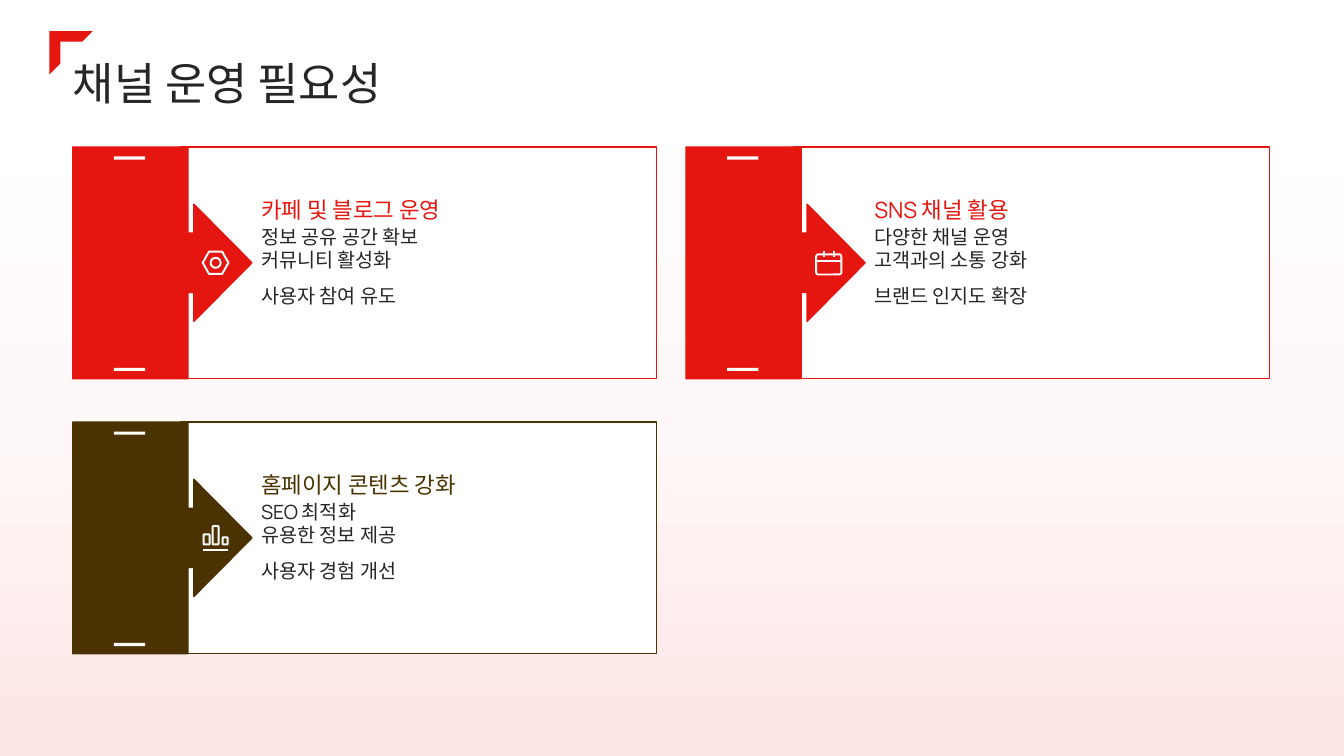
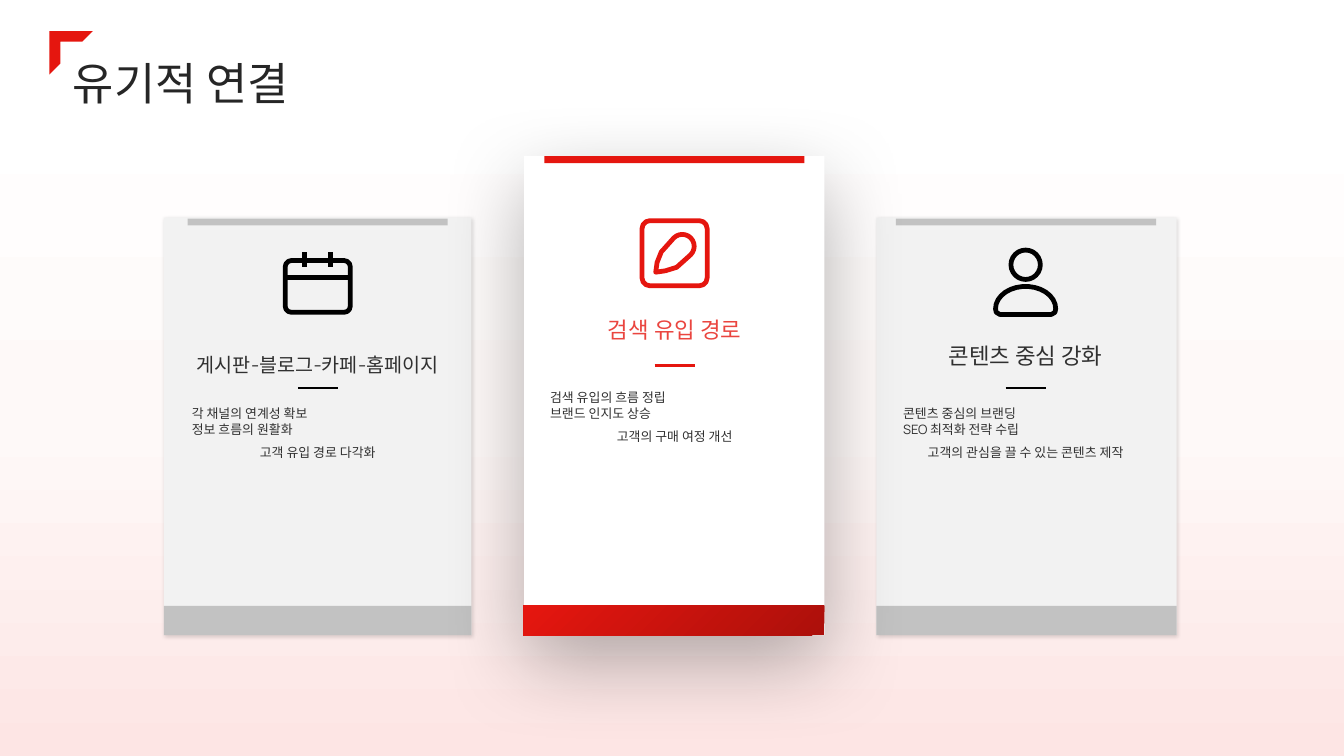
from copy import deepcopy
from math import cos, radians, sin

from lxml.etree import SubElement
from pptx import Presentation
from pptx.dml.color import RGBColor
from pptx.enum.shapes import MSO_CONNECTOR, MSO_SHAPE
from pptx.enum.text import MSO_ANCHOR, MSO_AUTO_SIZE, PP_ALIGN
from pptx.oxml import parse_xml
from pptx.oxml.ns import nsdecls, qn
from pptx.util import Pt

RED = RGBColor(0xE5, 0x16, 0x0F)
DARK = RGBColor(0xAC, 0x10, 0x0B)
SOFT = RGBColor(0xEA, 0x45, 0x3F)
BROWN = RGBColor(0x4B, 0x32, 0x01)
INK = RGBColor(0x26, 0x26, 0x26)
GREY = RGBColor(0x30, 0x30, 0x30)
BAND = RGBColor(0xC2, 0xC2, 0xC2)
PALE = RGBColor(0xF2, 0xF2, 0xF2)
BLACK = RGBColor(0, 0, 0)
WHITE = RGBColor(255, 255, 255)
PINK = RGBColor(0xFD, 0xE5, 0xE4)
BLUSH = RGBColor(0xFE, 0xF9, 0xF8)
FONT = "Manrope"


def draw(slide, kind, x, y, w, h, fill=None, line=None, wide=1):
    """Add a preset shape with plain fill and line."""
    shape = slide.shapes.add_shape(kind, Pt(x), Pt(y), Pt(w), Pt(h))
    shape.shadow.inherit = False
    if fill is None:
        shape.fill.background()
    else:
        shape.fill.solid()
        shape.fill.fore_color.rgb = fill
    if line is None:
        shape.line.fill.background()
    else:
        shape.line.color.rgb = line
        shape.line.width = Pt(wide)
    return shape


def write(shape, lines, size, color, space, anchor, align=PP_ALIGN.LEFT,
          fit=MSO_AUTO_SIZE.NONE):
    """Fill a text frame; only the last line takes the spacing and alignment."""
    frame = shape.text_frame
    frame.word_wrap = True
    frame.auto_size = fit
    frame.vertical_anchor = anchor
    frame.margin_left = frame.margin_right = 0
    frame.margin_top = frame.margin_bottom = 0
    frame.text = "\n".join(lines)
    for para in frame.paragraphs:
        para.alignment = PP_ALIGN.LEFT
        para.font.name = FONT
        para.font.size = Pt(size)
        para.font.color.rgb = color
    para.alignment = align
    para.line_spacing = space


# Icon parts, in hundredths of the icon size, measured from its centre
dome = [(43 * cos(radians(a)), 38 + 32 * sin(radians(a)))
        for a in range(180, 361, 12)]
cap = [(11 + 17 * cos(radians(a)), -10 + 17 * sin(radians(a)))
       for a in range(225, 406, 15)]
ICONS = {
    "rule": [("line", -50, 0, 50, 0)],
    "nut": [
        ("path", (-47, 0), (-24, -41), (24, -41), (47, 0), (24, 41), (-24, 41)),
        ("oval", -18.5, -18.5, 37, 37),
    ],
    "date": [
        ("round", -46.5, -31, 93, 74),
        ("line", -46.5, -6.5, 46.5, -6.5),
        ("line", -18.5, -43, -18.5, -22),
        ("line", 18.5, -43, 18.5, -22),
    ],
    "bars": [
        ("round", -44, -13, 22, 37),
        ("round", -11, -43, 22, 67),
        ("round", 26, -2, 18, 26),
        ("line", -46, 43, 46, 43),
    ],
    "pen": [
        ("round", -46.5, -46.5, 93, 93),
        ("path", (-27, 27), (-25, 13), (-19, -2), *cap, (3, 20), (-13, 25)),
    ],
    "user": [
        ("oval", -21, -46, 42, 42),
        ("path", *dome, (42, 43), (37, 46), (-37, 46), (-42, 43)),
    ],
}
KINDS = {"round": MSO_SHAPE.ROUNDED_RECTANGLE, "oval": MSO_SHAPE.OVAL}
marks = []  # slide, icon, centre x, centre y, size, line width, colour

# Deck and shared background
deck = Presentation()
deck.slide_width, deck.slide_height = Pt(960), Pt(540)
plan = deck.slide_layouts[5]
back = plan.background.fill
back.gradient()
back.gradient_angle = 90
first, last = back.gradient_stops
first.color.rgb, first.position = PINK, 0
last.color.rgb, last.position = WHITE, 0.88
stops = plan.background._cSld.find(".//" + qn("a:gsLst"))
stops.insert(1, deepcopy(stops[0]))
mid = back.gradient_stops[1]
mid.color.rgb, mid.position = BLUSH, 0.44

# Titles with corner mark
slides = []
for name in ("채널 운영 필요성", "유기적 연결"):
    slide = deck.slides.add_slide(plan)
    title = slide.shapes.title
    title.left, title.top = Pt(52), Pt(38.5)
    title.width, title.height = Pt(855), Pt(37)
    write(title, [name], 32, INK, 1.1, MSO_ANCHOR.MIDDLE)
    mark = draw(slide, MSO_SHAPE.HALF_FRAME, 35.3, 22.3, 31, 31, RED)
    mark.adjustments[0], mark.adjustments[1] = 0.239, 0.252
    slides.append(slide)
need, link = slides

# Slide 1: cards with arrow callouts on a grid
cards = [
    (0, 0, RED, "nut", "카페 및 블로그 운영",
     ["정보 공유 공간 확보", "커뮤니티 활성화", "사용자 참여 유도"]),
    (0, 1, BROWN, "bars", "홈페이지 콘텐츠 강화",
     ["SEO 최적화", "유용한 정보 제공", "사용자 경험 개선"]),
    (1, 0, RED, "date", "SNS 채널 활용",
     ["다양한 채널 운영", "고객과의 소통 강화", "브랜드 인지도 확장"]),
]
for col, row, color, icon, head, lines in cards:
    x, y = 52 + 438 * col, 105 + 196.5 * row
    draw(need, MSO_SHAPE.RECTANGLE, x + 77, y, 340, 165.5, WHITE, color)
    arrow = draw(need, MSO_SHAPE.RIGHT_ARROW_CALLOUT, x, y, 128, 165.5,
                 color, color)
    for i, value in enumerate((0.331, 0.327, 0.324, 0.643)):
        arrow.adjustments[i] = value
    for gap in (6.8, 157.8):
        draw(need, MSO_SHAPE.RECTANGLE, x + 29.4, y + gap, 22.3, 2.2, WHITE)
    body = need.shapes.add_textbox(Pt(x + 134.5), Pt(y + 55.5), Pt(278), Pt(101.5))
    write(body, lines, 14, INK, 1.5, MSO_ANCHOR.TOP)
    top = need.shapes.add_textbox(Pt(x + 134.5), Pt(y + 9.5), Pt(278), Pt(44.6))
    write(top, [head], 16, color, 1.3, MSO_ANCHOR.BOTTOM)
    marks.append((need, icon, x + 102, y + 82.7, 19.5, 1.4, WHITE))

# Slide 2: left, top, width, bar left, text middle, head top, icon middle
panels = [
    (626, 155.5, 214.5, 640, 732.6, 240.5, 201.6, "user", 16, "콘텐츠 중심 강화",
     ["콘텐츠 중심의 브랜딩", "SEO 최적화 전략 수립",
      "고객의 관심을 끌 수 있는 콘텐츠 제작"]),
    (117, 155.5, 219.8, 134, 227, 247.7, 201.6, "date", 14,
     "게시판-블로그-카페-홈페이지",
     ["각 채널의 연계성 확보", "정보 흐름의 원활화", "고객 유입 경로 다각화"]),
    (374.4, 111.6, 214.5, 388.8, 481.9, 221.8, 180.9, "pen", 16, "검색 유입 경로",
     ["검색 유입의 흐름 정립", "브랜드 인지도 상승", "고객의 구매 여정 개선"]),
]
for x, y, w, bar, mid, high, spot, icon, size, head, lines in panels:
    main = icon == "pen"
    tint = RED if main else BLACK
    card = draw(link, MSO_SHAPE.RECTANGLE, x, y, w, 453.6 - y,
                WHITE if main else PALE)
    # Soft shadow: blur, distance, direction, opacity
    blur, dist, turn, alpha = (60, 20, 90, 30) if main else (3, 1, 45, 15)
    card._element.spPr.find(qn("a:effectLst")).append(parse_xml(
        f'<a:outerShdw {nsdecls("a")} blurRad="{Pt(blur)}" dist="{Pt(dist)}" '
        f'dir="{turn * 60000}" algn="ctr" rotWithShape="0">'
        f'<a:srgbClr val="000000"><a:alpha val="{alpha * 1000}"/></a:srgbClr>'
        '</a:outerShdw>'))
    draw(link, MSO_SHAPE.RECTANGLE, bar, y + 0.6 * (not main), 185.8, 5,
         RED if main else BAND)
    foot = draw(link, MSO_SHAPE.RECTANGLE, x - 0.6 * main, 432.7,
                w + 0.6 * main, 20.9, BAND)
    if main:
        foot.fill.gradient()
        foot.fill.gradient_angle = 135
        first, last = foot.fill.gradient_stops
        first.color.rgb, first.position = DARK, 0
        last.color.rgb, last.position = RED, 0.99
    rule, low = (261.2, 278.6) if main else (277.2, 290)
    wide = 194.5 if icon == "date" else 175
    top = link.shapes.add_textbox(Pt(mid - wide / 2), Pt(high), Pt(wide), Pt(20.9))
    write(top, [head], size, SOFT if main else GREY, 1.3, MSO_ANCHOR.MIDDLE,
          PP_ALIGN.CENTER, MSO_AUTO_SIZE.SHAPE_TO_FIT_TEXT)
    wide = 180 if icon == "date" else 178 if main else 175
    body = link.shapes.add_textbox(Pt(mid - wide / 2), Pt(low), Pt(wide), Pt(42))
    write(body, lines, 9.2, GREY, 1.5, MSO_ANCHOR.TOP,
          PP_ALIGN.CENTER, MSO_AUTO_SIZE.SHAPE_TO_FIT_TEXT)
    marks.append((link, "rule", mid, rule, 28.5, 2, tint))
    marks.append((link, icon, mid, spot, 50, 3.4, tint))

# Icons and rules
for slide, icon, x, y, size, wide, color in marks:
    unit = size / 100
    for kind, *part in ICONS[icon]:
        if kind == "path":
            pts = [(Pt(x + a * unit), Pt(y + b * unit)) for a, b in part]
            build = slide.shapes.build_freeform(*pts[0])
            build.add_line_segments(pts[1:])
            shape = build.convert_to_shape()
            shape.shadow.inherit = False
            shape.fill.background()
        elif kind == "line":
            a, b, c, d = part
            shape = slide.shapes.add_connector(
                MSO_CONNECTOR.STRAIGHT, Pt(x + a * unit), Pt(y + b * unit),
                Pt(x + c * unit), Pt(y + d * unit))
        else:
            a, b, w, h = part
            shape = draw(slide, KINDS[kind], x + a * unit, y + b * unit,
                         w * unit, h * unit)
            if kind == "round":
                shape.adjustments[0] = 0.12
        shape.line.color.rgb = color
        shape.line.width = Pt(wide)
        if kind == "line":
            SubElement(shape._element.spPr, qn("a:effectLst"))

deck.save("out.pptx")
